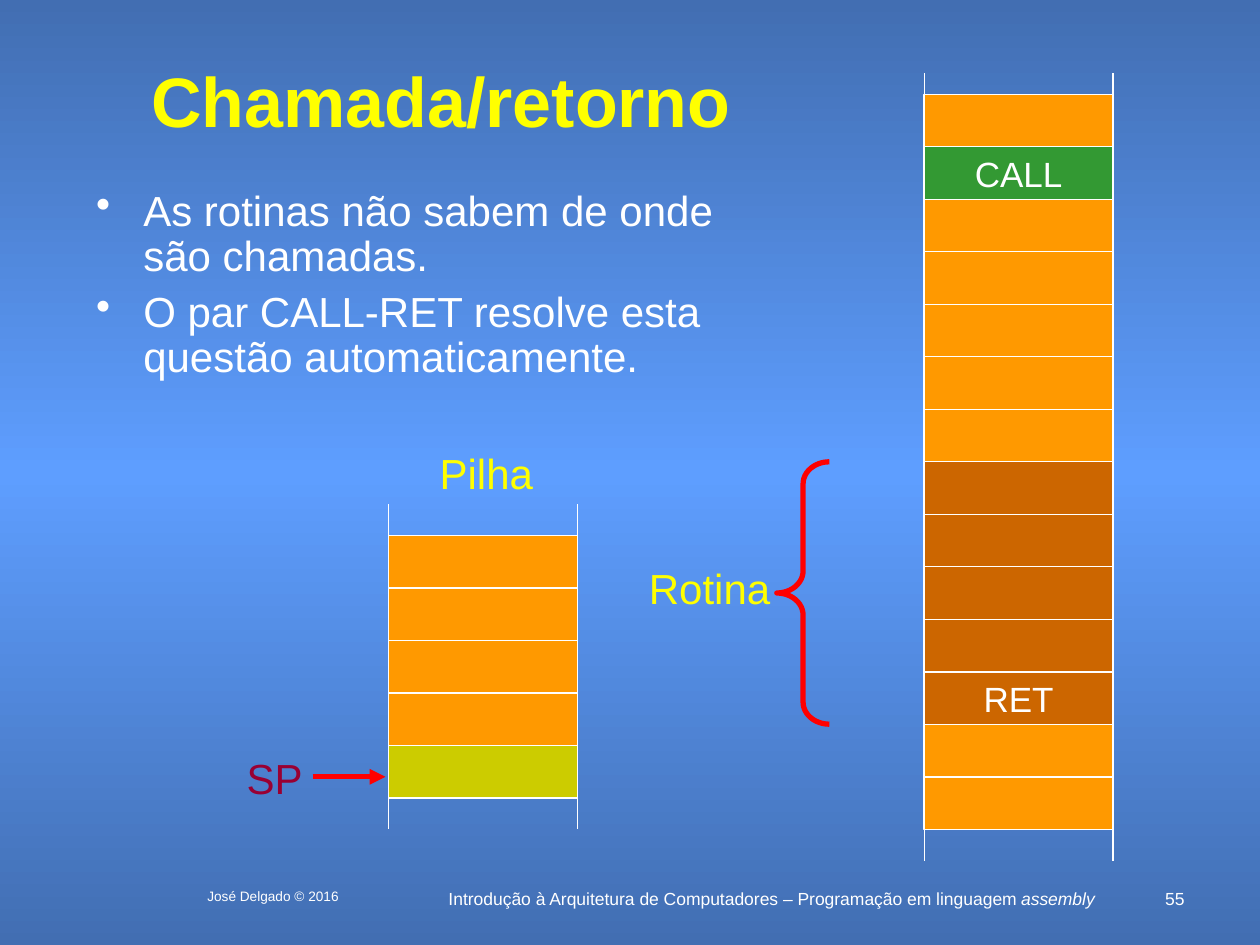
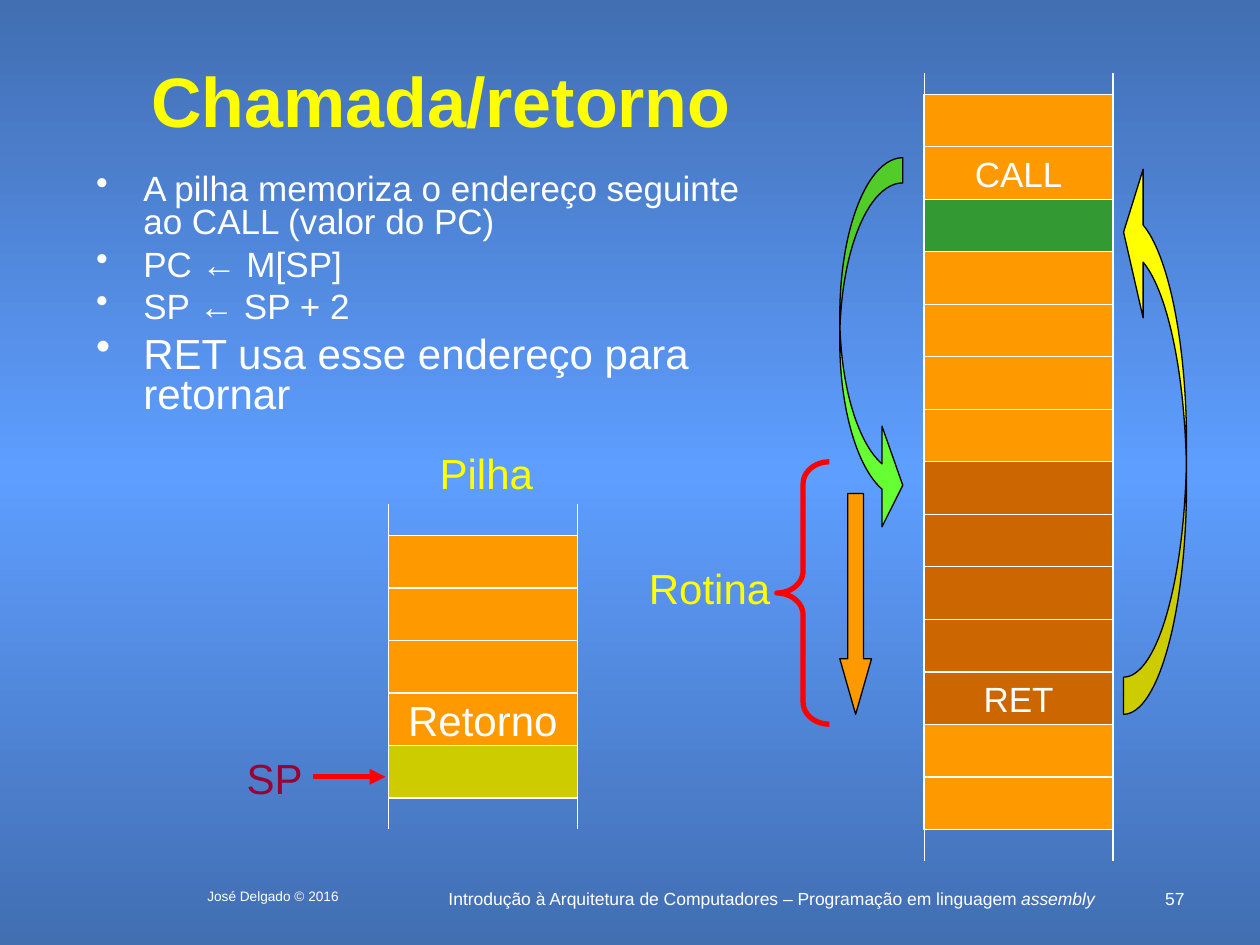
from copy import deepcopy

from lxml.etree import SubElement
from pptx import Presentation
from pptx.dml.color import RGBColor
from pptx.enum.shapes import MSO_CONNECTOR as Connector, MSO_SHAPE as Shape
from pptx.enum.text import MSO_ANCHOR as Anchor, PP_ALIGN as Align
from pptx.oxml.ns import qn
from pptx.util import Cm, Pt

FONT = "Arial"
WHITE, BLACK, YELLOW, RED, MAROON = "FFFFFF", "000000", "FFFF00", "FF0000", "990033"
ORANGE, BROWN, GREEN, OLIVE, LIME = "FF9900", "CC6600", "339933", "CCCC00", "66FF33"
BACKGROUND = [(0, "426EB2"), (0.5, "5E9EFF"), (1, "426EB2")]

TITLE = "Chamada/retorno"
AUTHOR = "José Delgado © 2016"
COURSE = [("Introdução à Arquitetura de Computadores – Programação em linguagem ", False),
          ("assembly", True)]

MEMORY = dict(left=18.63, top=1.9, height=14.82, line_top=1.48, line_bottom=17.36)
STACK = dict(left=7.83, top=10.8, height=5.29, line_top=10.16, line_bottom=16.72)
CELL_WIDTH = 3.81
MEMORY_COLORS = [ORANGE] * 7 + [BROWN] * 5 + [ORANGE] * 2
MEMORY_LABELS = {1: "CALL", 11: "RET"}
STACK_COLORS = [ORANGE] * 4 + [OLIVE]

SLIDES = [
    dict(number="55", current_row=1, stack_labels={}, flow=[],
         body_box=(1.69, 3.7, 13.97, 4.88), line_spacing=0.9,
         bullets=[("As rotinas não sabem de onde são chamadas.", 24, 6),
                  ("O par CALL-RET resolve esta questão automaticamente.", 24, 6)]),
    dict(number="57", current_row=2, stack_labels={3: "Retorno"},
         flow=[(Shape.CURVED_RIGHT_ARROW, (16.93, 3.18, 1.27, 7.62), LIME, (0.4, 1.6, 0.33), 0),
               (Shape.CURVED_RIGHT_ARROW, (22.65, 3.18, 1.27, 11.22), YELLOW,
                (0.59, 2.36, 0.31), 180),
               (Shape.DOWN_ARROW, (16.93, 9.95, 0.64, 4.45), ORANGE, (0.5, 1.75), 0)],
         body_box=(1.69, 3.39, 14.39, 5.5), line_spacing=0.8,
         bullets=[("A pilha memoriza o endereço seguinte ao CALL (valor do PC)", 20, 5),
                  ("PC ← M[SP]", 20, 5),
                  ("SP ← SP + 2", 20, 5),
                  ("RET usa esse endereço para retornar", 24, 6)]),
]


def rgb(color):
    return RGBColor.from_string(color)


def cm(values):
    return [Cm(value) for value in values]


def add_run(paragraph, text, size, color=WHITE, bold=False, italic=False):
    run = paragraph.add_run()
    run.text = text
    font = run.font
    font.name, font.size, font.bold, font.italic = FONT, Pt(size), bold, italic
    font.color.rgb = rgb(color)


def write(shape, text, size, align=Align.CENTER, anchor=Anchor.TOP, wrap=True, **style):
    frame = shape.text_frame
    frame.word_wrap = wrap
    frame.vertical_anchor = anchor
    paragraph = frame.paragraphs[0]
    paragraph.alignment = align
    runs = [(text, False)] if isinstance(text, str) else text
    for words, italic in runs:
        add_run(paragraph, words, size, italic=italic, **style)


def add_text(slide, box, text, size, **style):
    write(slide.shapes.add_textbox(*cm(box)), text, size, **style)


def add_shape(slide, kind, box, fill=None, line=WHITE, width=0.75, adjustments=(), rotation=0):
    shape = slide.shapes.add_shape(kind, *cm(box))
    shape.shadow.inherit = False
    if fill:
        shape.fill.solid()
        shape.fill.fore_color.rgb = rgb(fill)
    else:
        shape.fill.background()
    shape.line.color.rgb = rgb(line)
    shape.line.width = Pt(width)
    for index, value in enumerate(adjustments):
        shape.adjustments[index] = value
    shape.rotation = rotation
    return shape


def add_line(slide, ends, color=WHITE, width=0.75, arrow=False):
    connector = slide.shapes.add_connector(Connector.STRAIGHT, *cm(ends))
    connector.line.color.rgb = rgb(color)
    connector.line.width = Pt(width)
    if arrow:
        SubElement(connector.line._get_or_add_ln(), qn("a:tailEnd"), type="triangle")
    SubElement(connector._element.spPr, qn("a:effectLst"))


def add_column(slide, place, colors, labels, label_size):
    left, row_height = place["left"], place["height"] / len(colors)
    for row, color in enumerate(colors):
        box = (left, place["top"] + row * row_height, CELL_WIDTH, row_height)
        cell = add_shape(slide, Shape.RECTANGLE, box, color)
        if row in labels:
            write(cell, labels[row], label_size, anchor=Anchor.MIDDLE, wrap=False)
    for x in (left, left + CELL_WIDTH):
        add_line(slide, (x, place["line_top"], x, place["line_bottom"]))


def add_bullets(slide, box, bullets, line_spacing):
    frame = slide.shapes.add_textbox(*cm(box)).text_frame
    frame.word_wrap = True
    for index, (text, size, space_before) in enumerate(bullets):
        paragraph = frame.add_paragraph() if index else frame.paragraphs[0]
        properties = paragraph._p.get_or_add_pPr()
        properties.set("marL", str(Cm(0.95)))
        properties.set("indent", str(-Cm(0.95)))
        color = SubElement(properties, qn("a:buClr"))
        SubElement(color, qn("a:srgbClr"), val=WHITE)
        SubElement(properties, qn("a:buChar"), char="•")
        paragraph.line_spacing = line_spacing
        paragraph.space_before = Pt(space_before if index else 0)
        add_run(paragraph, text, size)


def paint_background(slide):
    fill = slide.background.fill
    fill.gradient()
    fill.gradient_angle = 90
    stop_list = next(slide._element.iter(qn("a:gsLst")))
    stop_list.insert(1, deepcopy(stop_list[0]))
    for stop, (position, color) in zip(fill.gradient_stops, BACKGROUND):
        stop.position = position
        stop.color.rgb = rgb(color)


def add_frame(slide, number):
    paint_background(slide)
    add_text(slide, (8.76, 17.78, 13.59, 0.64), COURSE, 10)
    add_text(slide, (23.06, 17.78, 1.07, 0.43), number, 10, align=Align.RIGHT)
    add_text(slide, (3.39, 17.78, 4.23, 0.64), AUTHOR, 7.8)
    add_text(slide, (1.69, 1.06, 14.4, 1.9), TITLE, 40, color=YELLOW, bold=True,
             anchor=Anchor.MIDDLE)


def add_call_diagram(slide, content):
    memory_colors = MEMORY_COLORS.copy()
    memory_colors[content["current_row"]] = GREEN
    add_column(slide, MEMORY, memory_colors, MEMORY_LABELS, 20)
    add_column(slide, STACK, STACK_COLORS, content["stack_labels"], 24)
    add_shape(slide, Shape.LEFT_BRACE, (15.66, 9.31, 1.06, 5.29), line=RED, width=3,
              adjustments=(0.42, 0.5))
    add_text(slide, (12.83, 11.22, 2.95, 1.27), "Rotina", 24, color=YELLOW, wrap=False)
    add_text(slide, (8.61, 8.89, 2.39, 1.27), "Pilha", 24, color=YELLOW, wrap=False)
    add_text(slide, (4.72, 15.04, 1.63, 1.27), "SP", 24, color=MAROON, wrap=False)
    add_line(slide, (6.3, 15.66, 7.77, 15.66), RED, 3, arrow=True)
    for kind, box, fill, adjustments, rotation in content["flow"]:
        add_shape(slide, kind, box, fill, BLACK, adjustments=adjustments, rotation=rotation)


def main():
    presentation = Presentation()
    presentation.slide_width, presentation.slide_height = Cm(25.4), Cm(19.05)
    for content in SLIDES:
        slide = presentation.slides.add_slide(presentation.slide_layouts[6])
        add_frame(slide, content["number"])
        add_bullets(slide, content["body_box"], content["bullets"], content["line_spacing"])
        add_call_diagram(slide, content)
    presentation.save("out.pptx")


if __name__ == "__main__":
    main()
